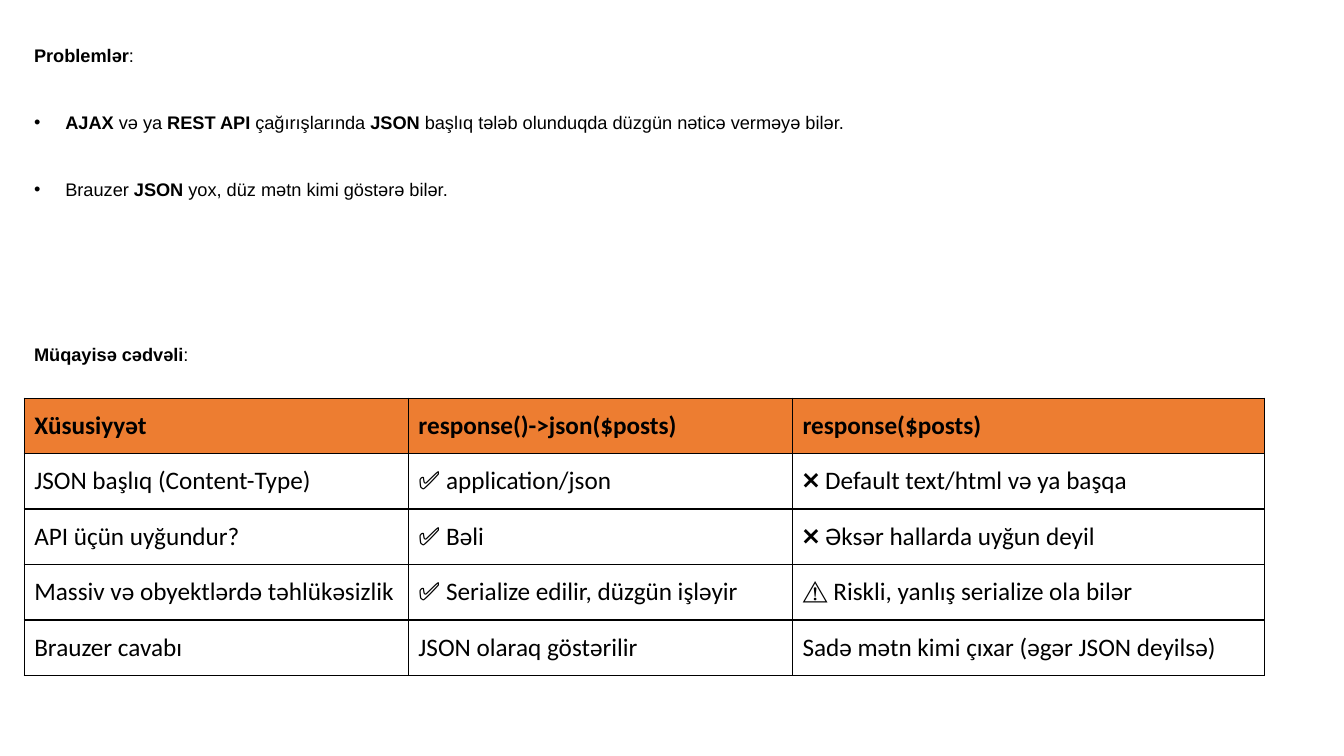
"""Build the slide that lists JSON problems and compares two response calls."""
from dataclasses import dataclass

import lxml.etree
import pptx
import pptx.dml.color
import pptx.enum.text
import pptx.oxml.ns
import pptx.util

Inches = pptx.util.Inches
Pt = pptx.util.Pt
BLACK = pptx.dml.color.RGBColor(0, 0, 0)
ORANGE = pptx.dml.color.RGBColor(0xED, 0x7D, 0x31)
MIDDLE = pptx.enum.text.MSO_ANCHOR.MIDDLE
BODY = {"name": "Arial", "size": Pt(13)}
GRID = {"name": "Calibri", "size": Pt(18)}
LEFT = Inches(0.24)
INDENT = Inches(0.31)


@dataclass
class Line:
    """A paragraph whose bold parts stand between asterisks."""
    text: str
    gap: float = 0
    dot: bool = False


LINES = [
    Line("*Problemlər*:"),
    Line("*AJAX* və ya *REST API *çağırışlarında *JSON* başlıq tələb "
         "olunduqda düzgün nəticə verməyə bilər.", 24.4, True),
    Line("Brauzer *JSON* yox, düz mətn kimi göstərə bilər.", 24.4, True),
    Line("*Müqayisə cədvəli*:", 94.7),
]
WIDTHS = [3.81, 3.81, 4.68]
HIGH = 0.55
ROWS = [
    ("Xüsusiyyət", "response()->json($posts)", "response($posts)"),
    ("JSON başlıq (Content-Type)", "✅ application/json",
     "❌ Default text/html və ya başqa"),
    ("API üçün uyğundur?", "✅ Bəli", "❌ Əksər hallarda uyğun deyil"),
    ("Massiv və obyektlərdə təhlükəsizlik",
     "✅ Serialize edilir, düzgün işləyir",
     "⚠️ Riskli, yanlış serialize ola bilər"),
    ("Brauzer cavabı", "JSON olaraq göstərilir",
     "Sadə mətn kimi çıxar (əgər JSON deyilsə)"),
]


def add_node(base, tag: str, **attrs: str):
    """Append a drawing element to base."""
    return lxml.etree.SubElement(base, pptx.oxml.ns.qn(tag), attrs)


def add_run(para, text: str, look: dict, bold: bool) -> None:
    """Add one styled run."""
    run = para.add_run()
    run.text = text
    for key, value in {**look, "bold": bold}.items():
        setattr(run.font, key, value)
    run.font.color.rgb = BLACK


def add_line(para, line: Line) -> None:
    """Fill one paragraph of the text box."""
    if line.dot:
        props = para._p.get_or_add_pPr()
        props.set("marL", str(INDENT))
        props.set("indent", str(-INDENT))
        add_node(props, "a:buFont", typeface="Arial")
        add_node(props, "a:buChar", char="•")
    para.line_spacing = 1.5
    if line.gap:
        para.space_before = Pt(line.gap)
    for i, part in enumerate(line.text.split("*")):
        if part:
            add_run(para, part, BODY, i % 2 == 1)


def add_cell(cell, text: str, head: bool) -> None:
    """Fill and frame one table cell."""
    cell.vertical_anchor = MIDDLE
    add_run(cell.text_frame.paragraphs[0], text, GRID, head)
    props = cell._tc.get_or_add_tcPr()
    for side in "LRTB":
        edge = add_node(props, f"a:ln{side}", w=str(Pt(1)))
        paint = add_node(edge, "a:solidFill")
        add_node(paint, "a:srgbClr", val=str(BLACK))
    if head:
        cell.fill.solid()
        cell.fill.fore_color.rgb = ORANGE
    else:
        cell.fill.background()


def add_text(slide) -> None:
    """Add the text box with its headings and bullets."""
    box = slide.shapes.add_textbox(LEFT, Inches(0.28), Inches(12.86), Inches(3.67))
    frame = box.text_frame
    frame.word_wrap = True
    for i, line in enumerate(LINES):
        add_line(frame.add_paragraph() if i else frame.paragraphs[0], line)


def add_grid(slide) -> None:
    """Add the comparison table."""
    table = slide.shapes.add_table(
        len(ROWS), len(WIDTHS), LEFT, Inches(3.95),
        Inches(sum(WIDTHS)), Inches(HIGH * len(ROWS))).table
    table.horz_banding = False
    for col, width in zip(table.columns, WIDTHS):
        col.width = Inches(width)
    for r, row in enumerate(ROWS):
        table.rows[r].height = Inches(HIGH)
        for c, text in enumerate(row):
            add_cell(table.cell(r, c), text, r == 0)


def main() -> None:
    """Make and save the deck."""
    deck = pptx.Presentation()
    deck.slide_width, deck.slide_height = Inches(13.33), Inches(7.5)
    slide = deck.slides.add_slide(deck.slide_layouts[6])
    add_text(slide)
    add_grid(slide)
    deck.save("out.pptx")


if __name__ == "__main__":
    main()
